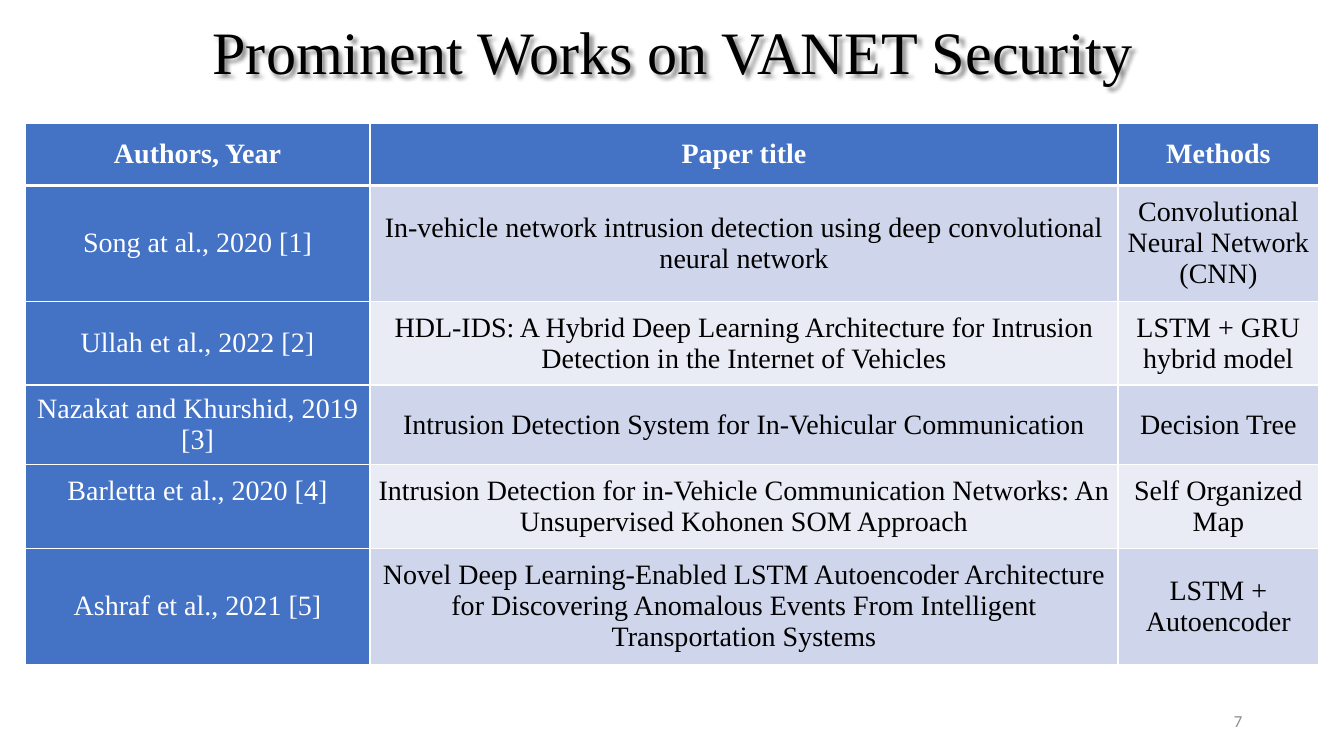
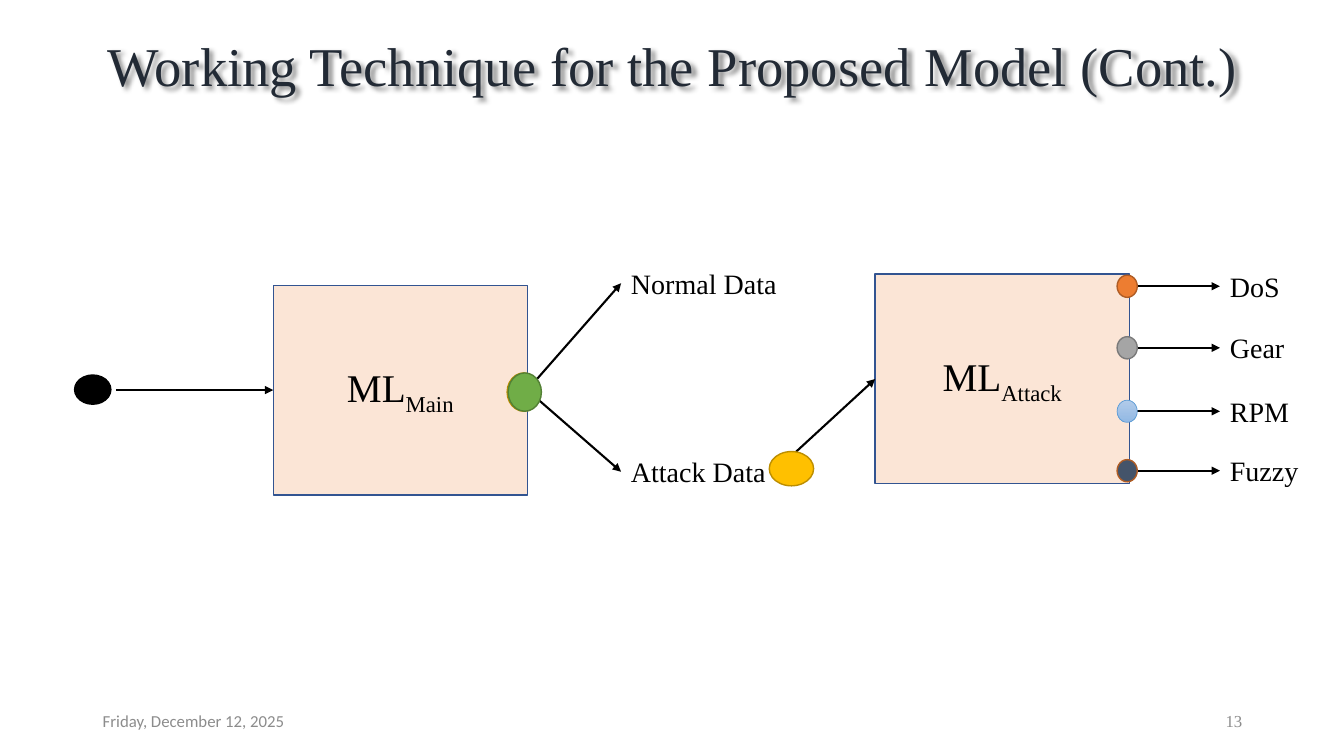
from dataclasses import dataclass
from typing import Optional

from lxml import etree
from pptx import Presentation, dml, oxml, util as u
from pptx.dml import color
from pptx.enum import shapes, text
from pptx.oxml import ns

COLORS = {
    "black": "000000", "white": "FFFFFF", "title_dark": "222A35", "footer": "8C8C8C",
    "header": "4472C4", "band_dark": "CFD5EA", "band_light": "E9EBF5",
    "model": "FBE5D6", "model_line": "325491",
    "gold": "FFC000", "gold_line": "BD8E00", "green": "70AD47", "green_line": "538035",
    "orange": "ED7D31", "rust": "AF5C24", "gray": "A5A5A5", "gray_line": "7A7A7A",
    "sky": "B1CBE9", "sky_end": "93B9E4", "sky_line": "5B9BD5", "slate": "44546A",
}
SERIF = "Times New Roman"
SANS = "Calibri"
ALIGN = text.PP_ALIGN
MIDDLE = text.MSO_ANCHOR.MIDDLE
TOP_SIDE, LEFT_SIDE, BOTTOM_SIDE, RIGHT_SIDE = range(4)
LABEL_HEIGHT = 0.44


@dataclass(frozen=True)
class Work:
    authors: str
    title: str
    methods: str
    height: float
    authors_bottom: float = 0.03


@dataclass(frozen=True)
class Dot:
    x: float
    y: float
    width: float
    height: float
    fill: str
    line: str
    fill_end: Optional[str] = None
    line_width: float = 1


@dataclass(frozen=True)
class AttackClass:
    name: str
    y: float
    fill: str
    line: str
    fill_end: Optional[str] = None
    line_width: float = 1


HEADER = Work("Authors, Year", "Paper title", "Methods", 0.62)
WORKS = [
    Work("Song at al., 2020 [1]",
         "In-vehicle network intrusion detection using deep convolutional neural network",
         "Convolutional Neural Network (CNN)", 1.15),
    Work("Ullah et al., 2022 [2]",
         "HDL-IDS: A Hybrid Deep Learning Architecture for Intrusion Detection in the "
         "Internet of Vehicles",
         "LSTM + GRU hybrid model", 0.83),
    Work("Nazakat and Khurshid, 2019 [3]",
         "Intrusion Detection System for In-Vehicular Communication",
         "Decision Tree", 0.79),
    Work("Barletta et al., 2020 [4]",
         "Intrusion Detection for in-Vehicle Communication Networks: An Unsupervised "
         "Kohonen SOM Approach",
         "Self Organized Map", 0.83, 0.34),
    Work("Ashraf et al., 2021 [5]",
         "Novel Deep Learning-Enabled LSTM Autoencoder Architecture for Discovering "
         "Anomalous Events From Intelligent Transportation Systems",
         "LSTM + Autoencoder", 1.15),
]
COLUMN_WIDTHS = [3.42, 7.42, 1.99]

ATTACK_CLASSES = [
    AttackClass("DoS", 2.84, "orange", "rust"),
    AttackClass("Gear", 3.45, "gray", "gray_line"),
    AttackClass("RPM", 4.08, "sky", "sky_line", "sky_end", 0.5),
    AttackClass("Fuzzy", 4.67, "slate", "rust"),
]
FLOW_DOTS = [
    Dot(0.74, 3.72, 0.36, 0.29, "black", "black"),
    Dot(5.03, 3.7, 0.33, 0.38, "gold", "gold_line"),
    Dot(5.04, 3.7, 0.33, 0.38, "green", "green_line"),
    Dot(7.63, 4.48, 0.44, 0.34, "gold", "gold_line"),
]


def rgb(name: str) -> color.RGBColor:
    return color.RGBColor.from_string(COLORS[name])


def style_font(font, size: float, color_name: str, name: str = SERIF, bold: bool = False) -> None:
    font.size = u.Pt(size)
    font.name = name
    font.bold = bold
    font.color.rgb = rgb(color_name)


def add_text(slide, content: str, left: float, top: float, width: float, height: float,
             size: float, color_name: str, name: str = SERIF, align=ALIGN.LEFT,
             anchor=text.MSO_ANCHOR.TOP):
    box = slide.shapes.add_textbox(*map(u.Inches, (left, top, width, height)))
    frame = box.text_frame
    frame.word_wrap = True
    frame.vertical_anchor = anchor
    paragraph = frame.paragraphs[0]
    paragraph.text = content
    paragraph.alignment = align
    style_font(paragraph.font, size, color_name, name)
    return box


def add_title(slide, content: str, top: float, height: float, size: float,
              color_name: str) -> None:
    box = add_text(slide, content, 0.92, top, 11.5, height, size, color_name,
                   align=ALIGN.CENTER, anchor=MIDDLE)
    box.text_frame.paragraphs[0].line_spacing = 0.9
    effects = etree.SubElement(box._element.spPr, ns.qn("a:effectLst"))
    shadow = etree.SubElement(effects, ns.qn("a:outerShdw"), blurRad="38100", dist="38100",
                              dir="2700000", algn="tl")
    shade = etree.SubElement(shadow, ns.qn("a:srgbClr"), val=COLORS["black"])
    etree.SubElement(shade, ns.qn("a:alpha"), val="43000")


def add_footer(slide, content: str, left: float, align, name: str) -> None:
    add_text(slide, content, left, 6.95, 3, 0.4, 12, "footer", name, align, MIDDLE)


def add_page_number(slide, number: int, name: str) -> None:
    add_footer(slide, str(number), 9.42, ALIGN.RIGHT, name)


def set_border(cell, side: str, width: float) -> None:
    line = etree.SubElement(cell._tc.get_or_add_tcPr(), ns.qn(f"a:ln{side}"),
                            w=str(u.Pt(width)))
    fill = etree.SubElement(line, ns.qn("a:solidFill"))
    etree.SubElement(fill, ns.qn("a:srgbClr"), val=COLORS["white"])


def add_works_table(slide) -> None:
    rows = [HEADER, *WORKS]
    frame = slide.shapes.add_table(
        len(rows), len(COLUMN_WIDTHS), u.Inches(0.25), u.Inches(1.22),
        u.Inches(sum(COLUMN_WIDTHS)), u.Inches(sum(row.height for row in rows)))
    table = frame.table
    table.horz_banding = False
    for column, width in zip(table.columns, COLUMN_WIDTHS):
        column.width = u.Inches(width)
    for row_index, work in enumerate(rows):
        table.rows[row_index].height = u.Inches(work.height)
        is_header = row_index == 0
        band = "band_dark" if row_index % 2 else "band_light"
        for column_index, content in enumerate((work.authors, work.title, work.methods)):
            cell = table.cell(row_index, column_index)
            is_blue = is_header or column_index == 0
            for side in "LRTB":
                heavy = (side, row_index) in (("B", 0), ("T", 1))
                set_border(cell, side, 3 if heavy else 1)
            cell.fill.solid()
            cell.fill.fore_color.rgb = rgb("header" if is_blue else band)
            cell.vertical_anchor = MIDDLE
            cell.margin_left = cell.margin_right = u.Inches(0.02)
            cell.margin_top = u.Inches(0.03)
            cell.margin_bottom = u.Inches(work.authors_bottom if column_index == 0 else 0.03)
            paragraph = cell.text_frame.paragraphs[0]
            paragraph.text = content
            paragraph.alignment = ALIGN.CENTER
            style_font(paragraph.font, 20, "white" if is_blue else "black", bold=is_header)


def add_model(slide, subscript: str, left: float, top: float):
    shape = slide.shapes.add_shape(shapes.MSO_SHAPE.RECTANGLE,
                                   *map(u.Inches, (left, top, 2.52, 2.08)))
    shape.shadow.inherit = False
    shape.fill.solid()
    shape.fill.fore_color.rgb = rgb("model")
    shape.line.color.rgb = rgb("model_line")
    shape.line.width = u.Pt(1)
    shape.text_frame.vertical_anchor = MIDDLE
    paragraph = shape.text_frame.paragraphs[0]
    paragraph.alignment = ALIGN.CENTER
    style_font(paragraph.font, 28, "black")
    paragraph.add_run().text = "ML"
    lowered = paragraph.add_run()
    lowered.text = subscript
    lowered._r.get_or_add_rPr().set("baseline", "-25000")
    return shape


def add_dot(slide, dot: Dot) -> None:
    shape = slide.shapes.add_shape(shapes.MSO_SHAPE.OVAL,
                                   *map(u.Inches, (dot.x, dot.y, dot.width, dot.height)))
    shape.shadow.inherit = False
    if dot.fill_end:
        shape.fill.gradient()
        shape.fill.gradient_angle = 270
        for stop, name in zip(shape.fill.gradient_stops, (dot.fill, dot.fill_end)):
            stop.color.rgb = rgb(name)
    else:
        shape.fill.solid()
        shape.fill.fore_color.rgb = rgb(dot.fill)
    shape.line.color.rgb = rgb(dot.line)
    shape.line.width = u.Pt(dot.line_width)


def add_label(slide, content: str, left: float, middle: float, width: float):
    return add_text(slide, content, left, middle - LABEL_HEIGHT / 2, width, LABEL_HEIGHT,
                    20, "black")


def add_arrow(slide, start: tuple[float, float], target, source=None) -> None:
    end = (target.left, target.top + target.height // 2)
    arrow = slide.shapes.add_connector(shapes.MSO_CONNECTOR.STRAIGHT,
                                       *map(u.Inches, start), *end)
    if source is not None:
        arrow.begin_connect(source, RIGHT_SIDE)
    arrow.end_connect(target, LEFT_SIDE)
    arrow.line.color.rgb = rgb("black")
    arrow.line.width = u.Pt(1.5)
    etree.SubElement(arrow.line._get_or_add_ln(), ns.qn("a:tailEnd"), type="triangle")
    etree.SubElement(arrow._element.spPr, ns.qn("a:effectLst"))


def build_works_slide(slide) -> None:
    add_title(slide, "Prominent Works on VANET Security", 0, 1.1, 43, "black")
    add_works_table(slide)
    add_page_number(slide, 7, SANS)


def build_model_slide(slide) -> None:
    add_title(slide, "Working Technique for the Proposed Model (Cont.)", 0.28, 0.8, 39,
              "title_dark")
    add_page_number(slide, 13, SERIF)
    add_footer(slide, "Friday, December 12, 2025", 0.92, ALIGN.LEFT, SANS)
    main_model = add_model(slide, "Main", 2.71, 2.83)
    attack_model = add_model(slide, "Attack", 8.68, 2.72)
    add_arrow(slide, (1.15, 3.87), main_model)
    for name, middle in (("Normal Data", 2.81), ("Attack Data", 4.68)):
        label = add_label(slide, name, 6.16, middle, 1.83)
        add_arrow(slide, (5.23, 3.87), label, main_model)
    add_arrow(slide, (7.68, 4.68), attack_model)
    for dot in FLOW_DOTS:
        add_dot(slide, dot)
    for attack in ATTACK_CLASSES:
        label = add_label(slide, attack.name, 12.1, attack.y, 0.9)
        add_arrow(slide, (11.2, attack.y), label)
        add_dot(slide, Dot(11.08, attack.y - 0.11, 0.2, 0.22, attack.fill, attack.line,
                           attack.fill_end, attack.line_width))


def main() -> None:
    presentation = Presentation()
    presentation.slide_width = u.Inches(13.33)
    presentation.slide_height = u.Inches(7.5)
    blank = presentation.slide_layouts[6]
    for build in (build_works_slide, build_model_slide):
        build(presentation.slides.add_slide(blank))
    presentation.save("out.pptx")


if __name__ == "__main__":
    main()
